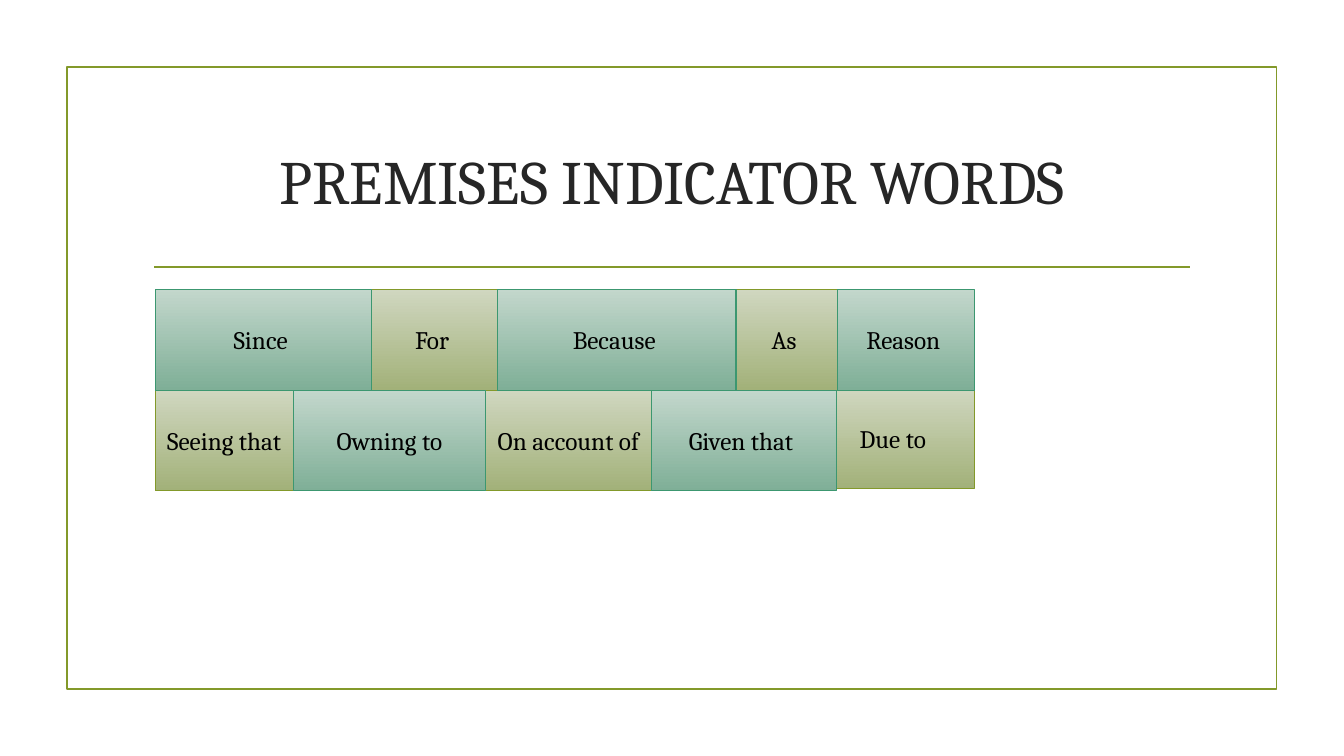
from dataclasses import dataclass

from lxml.etree import SubElement
from pptx import Presentation
from pptx.dml.color import RGBColor
from pptx.enum.shapes import MSO_CONNECTOR, MSO_SHAPE
from pptx.enum.text import MSO_ANCHOR, PP_ALIGN
from pptx.oxml.ns import qn
from pptx.util import Cm, Pt


@dataclass(frozen=True)
class Tone:
    top: str
    bottom: str
    edge: str


@dataclass(frozen=True)
class Theme:
    font: str = "Cambria"
    title_size: float = 44
    word_size: float = 18
    title_color: str = "262626"
    word_color: str = "000000"
    accent: str = "83992A"
    frame_width: float = 1.25
    brick_width: float = 0.75
    olive: Tone = Tone("D0D7C0", "A2B179", "83992A")
    green: Tone = Tone("C3D7CC", "7FAF97", "3C9770")


THEME = Theme()
ROW_HEIGHT = 2.54

# Each brick: words and width in cm; the trailing space belongs to the wording
WALL = [
    [("Since ", 5.46), ("For ", 3.18), ("Because ", 6.0), ("As ", 2.56), ("Reason ", 3.45)],
    [("Seeing that ", 3.48), ("Owning to", 4.85), ("On account of ", 4.17),
     ("Given that ", 4.67), ("Due to", 3.48)],
]
# The last brick reaches under its neighbour and sits slightly higher
TUCK, LIFT = 0.64, 0.05


def write_centred(shape, words, size, color):
    frame = shape.text_frame
    frame.word_wrap = True
    frame.vertical_anchor = MSO_ANCHOR.MIDDLE
    paragraph = frame.paragraphs[0]
    paragraph.alignment = PP_ALIGN.CENTER
    run = paragraph.add_run()
    run.text = words
    run.font.name = THEME.font
    run.font.size = Pt(size)
    run.font.color.rgb = RGBColor.from_string(color)


def style_line(line, color, width):
    line.color.rgb = RGBColor.from_string(color)
    line.width = Pt(width)


def add_border(slide, left, top, width, height):
    border = slide.shapes.add_shape(
        MSO_SHAPE.RECTANGLE, Cm(left), Cm(top), Cm(width), Cm(height))
    border.shadow.inherit = False
    border.fill.background()
    style_line(border.line, THEME.accent, THEME.frame_width)


def add_heading(slide, left, top, width, height):
    title = slide.shapes.add_textbox(Cm(left), Cm(top), Cm(width), Cm(height))
    write_centred(title, "PREMISES INDICATOR WORDS", THEME.title_size, THEME.title_color)

    # Rule below the title, inset equally on both sides
    inset, rule_y = 0.28, top + height + 0.38
    rule = slide.shapes.add_connector(
        MSO_CONNECTOR.STRAIGHT, Cm(left + inset), Cm(rule_y),
        Cm(left + width - inset), Cm(rule_y))
    style_line(rule.line, THEME.accent, THEME.frame_width)
    SubElement(rule._element.spPr, qn("a:effectLst"))


def add_brick(slide, words, tone, left, top, width):
    brick = slide.shapes.add_shape(
        MSO_SHAPE.RECTANGLE, Cm(left), Cm(top), Cm(width), Cm(ROW_HEIGHT))
    brick.shadow.inherit = False
    brick.fill.gradient()
    brick.fill.gradient_angle = 270
    for stop, color in zip(brick.fill.gradient_stops, (tone.top, tone.bottom)):
        stop.color.rgb = RGBColor.from_string(color)
    style_line(brick.line, tone.edge, THEME.brick_width)
    write_centred(brick, words, THEME.word_size, THEME.word_color)


def add_word_wall(slide, left, top):
    # Tones alternate like a chessboard
    bricks = {THEME.olive: [], THEME.green: []}
    for row, words_and_widths in enumerate(WALL):
        x, y = left, top + row * ROW_HEIGHT
        for column, (words, width) in enumerate(words_and_widths):
            tone = THEME.olive if (row + column) % 2 else THEME.green
            bricks[tone].append((words, tone, x, y, width))
            x += width

    # Olive bricks lie behind the green ones
    words, tone, x, y, width = bricks[THEME.olive].pop()
    add_brick(slide, words, tone, x - TUCK, y - LIFT, width + TUCK)
    for brick in bricks[THEME.olive] + bricks[THEME.green]:
        add_brick(slide, *brick)


def main():
    deck = Presentation()
    deck.slide_width, deck.slide_height = Cm(33.87), Cm(19.05)
    slide = deck.slides.add_slide(deck.slide_layouts[6])
    add_border(slide, 1.69, 1.69, 30.48, 15.67)
    add_heading(slide, 3.61, 2.72, 26.67, 3.63)
    add_word_wall(slide, 3.91, 7.29)
    deck.save("out.pptx")


if __name__ == "__main__":
    main()
